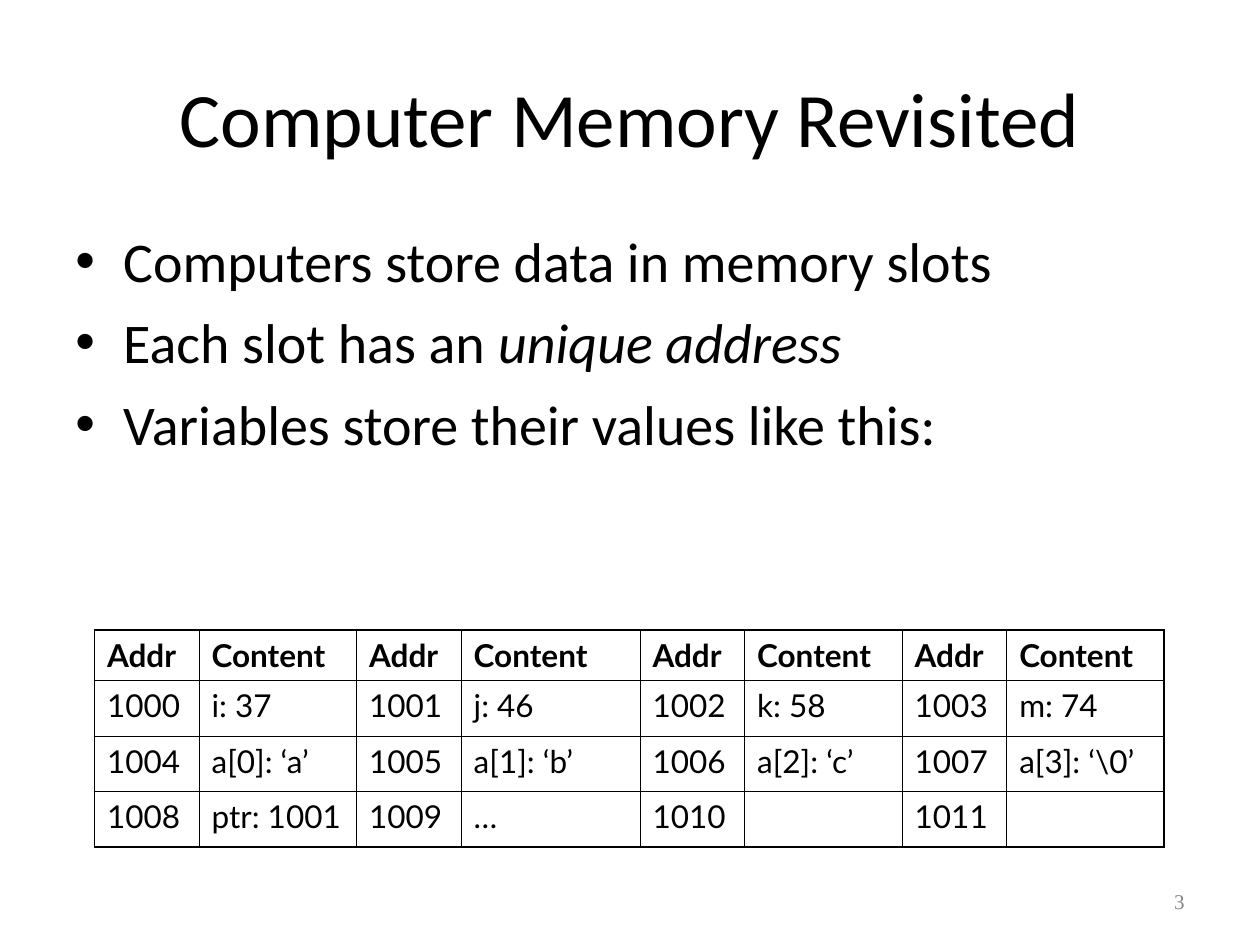
from dataclasses import dataclass

from pptx import Presentation
from pptx.dml.color import RGBColor
from pptx.enum.text import MSO_ANCHOR as Anchor, PP_ALIGN as Align
from pptx.oxml.ns import qn
from pptx.slide import Slide
from pptx.table import _Cell as Cell
from pptx.text.text import TextFrame, _Paragraph as Paragraph
from pptx.util import Inches, Pt
from lxml.etree import SubElement

BLACK = RGBColor(0x00, 0x00, 0x00)
GRAY = RGBColor(0x89, 0x89, 0x89)
THIN, THICK = Pt(0.45), Pt(1.08)


@dataclass
class TextStyle:
    font: str
    size: float
    color: RGBColor = BLACK
    align: Align = Align.LEFT
    space_before: float = 0


@dataclass
class Box:
    left: float
    top: float
    width: float
    height: float
    anchor: Anchor = Anchor.MIDDLE


TITLE = TextStyle("Calibri", 44, align=Align.CENTER)
BODY = TextStyle("Calibri", 32, space_before=8)
CELL = TextStyle("Lato", 18, space_before=4.5)
PAGE_NUMBER = TextStyle("Times New Roman", 12, GRAY, Align.RIGHT)

# Each bullet is a plain part followed by an italic part
BULLETS = [
    ("Computers store data in memory slots", ""),
    ("Each slot has an ", "unique address"),
    ("Variables store their values like this:", ""),
]
CONTENTS = ["i: 37", "j: 46", "k: 58", "m: 74",
            "a[0]: ‘a’", "a[1]: ‘b’", "a[2]: ‘c’", "a[3]: ‘\\0’",
            "ptr: 1001", "…", "", ""]
FIRST_ADDRESS = 1000
SLOTS_PER_ROW = 4
COLUMN_WIDTHS = [0.83, 1.25, 0.83, 1.42, 0.83, 1.25, 0.83, 1.25]
ROW_HEIGHTS = [0.4, 0.44, 0.44, 0.44]


def format_paragraph(paragraph: Paragraph, style: TextStyle) -> None:
    paragraph.alignment = style.align
    paragraph.space_before = Pt(style.space_before)
    for font in [paragraph.font] + [run.font for run in paragraph.runs]:
        font.name = style.font
        font.size = Pt(style.size)
        font.color.rgb = style.color


def add_text_frame(slide: Slide, box: Box) -> TextFrame:
    shape = slide.shapes.add_textbox(Inches(box.left), Inches(box.top),
                                     Inches(box.width), Inches(box.height))
    shape.text_frame.word_wrap = True
    shape.text_frame.vertical_anchor = box.anchor
    return shape.text_frame


def add_line(slide: Slide, box: Box, text: str, style: TextStyle) -> None:
    text_frame = add_text_frame(slide, box)
    text_frame.text = text
    format_paragraph(text_frame.paragraphs[0], style)


def set_bullet(paragraph: Paragraph) -> None:
    properties = paragraph._p.get_or_add_pPr()
    properties.set("marL", str(Inches(0.38)))
    properties.set("indent", str(-Inches(0.38)))
    color = SubElement(properties, qn("a:buClr"))
    SubElement(color, qn("a:srgbClr"), val=str(BLACK))
    SubElement(properties, qn("a:buFont"), typeface="Arial")
    SubElement(properties, qn("a:buChar"), char="•")


def add_bullets(slide: Slide, box: Box) -> None:
    text_frame = add_text_frame(slide, box)
    text_frame.text = "\n".join(plain for plain, _ in BULLETS)
    for paragraph, (_, italic) in zip(text_frame.paragraphs, BULLETS):
        if italic:
            run = paragraph.add_run()
            run.text = italic
            run.font.italic = True
        format_paragraph(paragraph, BODY)
        set_bullet(paragraph)


def set_borders(cell: Cell, widths: dict[str, Pt]) -> None:
    properties = cell._tc.get_or_add_tcPr()
    for side, width in widths.items():
        line = SubElement(properties, qn(f"a:ln{side}"), w=str(width))
        fill = SubElement(line, qn("a:solidFill"))
        SubElement(fill, qn("a:srgbClr"), val=str(BLACK))


def add_memory_table(slide: Slide, box: Box) -> None:
    rows = [["Addr", "Content"] * SLOTS_PER_ROW]
    for start in range(0, len(CONTENTS), SLOTS_PER_ROW):
        slots = enumerate(CONTENTS[start:start + SLOTS_PER_ROW], FIRST_ADDRESS + start)
        rows.append([text for address, content in slots for text in (str(address), content)])

    table = slide.shapes.add_table(
        len(rows), len(COLUMN_WIDTHS), Inches(box.left), Inches(box.top),
        Inches(box.width), Inches(box.height)).table
    table.first_row = table.horz_banding = False
    for column, width in zip(table.columns, COLUMN_WIDTHS):
        column.width = Inches(width)
    for row, height in zip(table.rows, ROW_HEIGHTS):
        row.height = Inches(height)

    last_row, last_column = len(rows) - 1, len(COLUMN_WIDTHS) - 1
    for row_index, texts in enumerate(rows):
        for column_index, text in enumerate(texts):
            cell = table.cell(row_index, column_index)
            cell.text = text
            paragraph = cell.text_frame.paragraphs[0]
            format_paragraph(paragraph, CELL)
            for run in paragraph.runs:
                run.font.bold = row_index == 0
            # Thick lines run around the table and below the header
            set_borders(cell, {
                "L": THICK if column_index == 0 else THIN,
                "R": THICK if column_index == last_column else THIN,
                "T": THICK if row_index <= 1 else THIN,
                "B": THICK if row_index in (0, last_row) else THIN,
            })
            cell.fill.background()


def main() -> None:
    presentation = Presentation()
    presentation.slide_width = Inches(10)
    presentation.slide_height = Inches(7.5)
    slide = presentation.slides.add_slide(presentation.slide_layouts[6])

    # Title and bullets
    add_line(slide, Box(0.5, 0.3, 9, 1.25), "Computer Memory Revisited", TITLE)
    add_bullets(slide, Box(0.5, 1.75, 9, 4.95, Anchor.TOP))

    # Page number
    add_line(slide, Box(7.17, 6.95, 2.33, 0.4), "3", PAGE_NUMBER)

    # Memory slots
    add_memory_table(slide, Box(0.75, 5, 8.5, 1.73))

    presentation.save("out.pptx")


if __name__ == "__main__":
    main()
